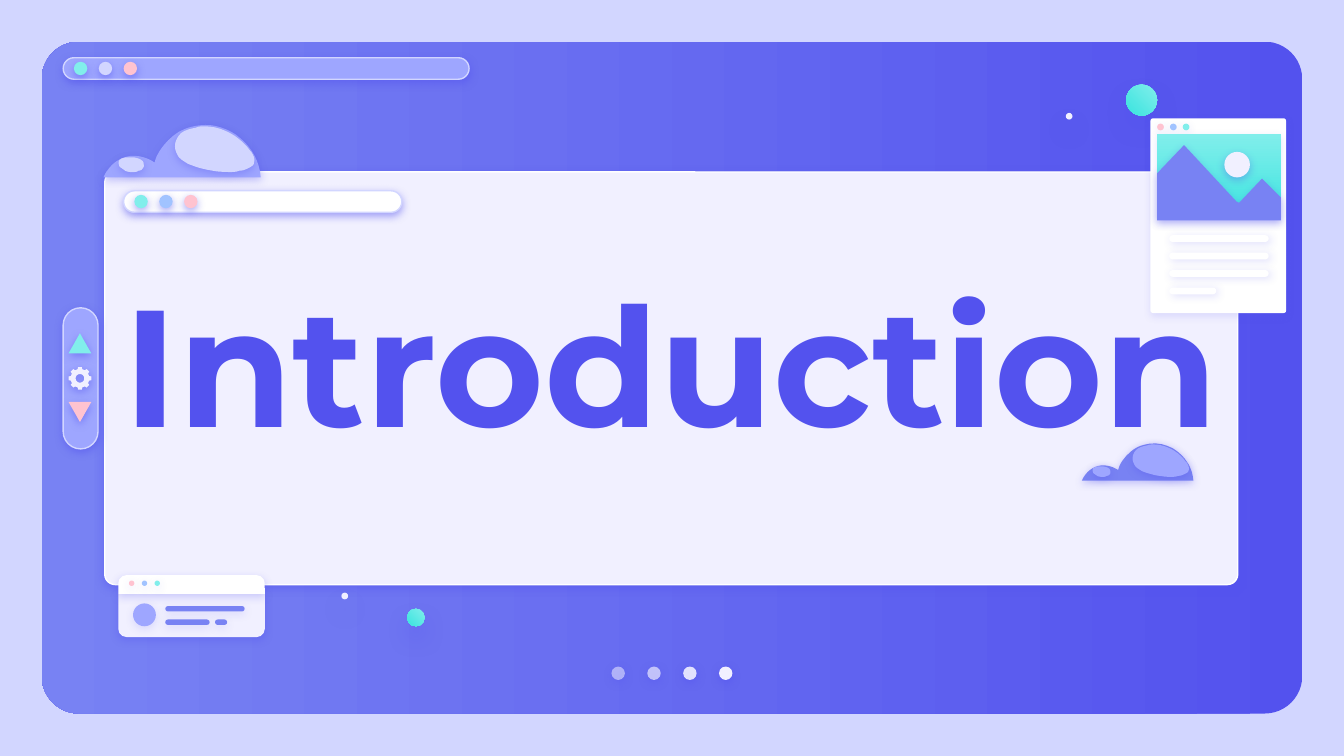
import math
import dataclasses
import pptx
import pptx.util
import pptx.dml.color
import pptx.enum.shapes
import pptx.enum.text
import pptx.oxml
import pptx.oxml.ns

Inches = pptx.util.Inches
Kind = pptx.enum.shapes.MSO_SHAPE


@dataclasses.dataclass(frozen=True)
class Theme:
    """Hold the colours, font and type size."""
    back: str = "D2D6FF"
    deep: str = "5352EE"
    mid: str = "7882F3"
    soft: str = "9EA6FF"
    pale: str = "F1F0FF"
    white: str = "FFFFFF"
    aqua: str = "81EEEB"
    teal: str = "3AE4DF"
    pink: str = "FFC3D0"
    sky: str = "A1C3FF"
    font: str = "Montserrat"
    size: int = 89


T = Theme()
RGB = pptx.dml.color.RGBColor.from_string
GLOW = (50, 4.5, 1.5, 90)
DIM = (14, 4.5, 1.5, 90)
CAST = (34, 4.5, 1.5, 90)
SIDE = (18, 4.5, 1.5, 39)
HAZE = (31, 4.5, 1.5, 90)
FAR = (38, 12.4, 6.8, 90)
GRID = 1000

CLOUD = [(.76, 0), (.67, 0, .58, .03, .52, .08), (.46, .13, .4, .2, .38, .28),
         (.34, .25, .28, .23, .23, .23), (.21, .23, .19, .23, .16, .24),
         (.09, .26, .03, .32, 0, .39), (1.17, .39),
         (1.16, .24, 1.07, .12, .95, .05), (.89, .02, .83, 0, .76, 0)]
SHINE = [(.75, .01), (.73, .01, .71, .01, .69, .02), (.64, .03, .59, .04, .56, .08),
         (.53, .12, .52, .17, .55, .22), (.56, .25, .6, .27, .63, .29),
         (.73, .33, .83, .35, .93, .35), (.96, .35, .99, .35, 1.01, .34),
         (1.04, .34, 1.06, .33, 1.08, .32), (1.1, .31, 1.12, .3, 1.12, .28),
         (1.13, .25, 1.11, .21, 1.09, .19), (1.01, .08, .88, .01, .75, .01)]
GLINT = [(.21, .24), (.18, .24, .14, .24, .12, .26), (.11, .27, .11, .29, .12, .31),
         (.13, .32, .15, .33, .16, .34), (.18, .35, .2, .35, .21, .35),
         (.24, .35, .25, .35, .26, .34), (.28, .34, .29, .33, .3, .31),
         (.3, .29, .3, .27, .28, .26), (.27, .25, .23, .24, .21, .24)]


def paint(shape, fill, glow=None, line=None, alpha=None, angle=0):
    """Set fill, outline and shadow of a shape."""
    shape.shadow.inherit = False
    if isinstance(fill, tuple):
        shape.fill.gradient()
        shape.fill.gradient_angle = angle
        for stop, color in zip(shape.fill.gradient_stops, fill):
            stop.color.rgb = RGB(color)
    else:
        shape.fill.solid()
        shape.fill.fore_color.rgb = RGB(fill)
    if line:
        shape.line.color.rgb = RGB(line)
        shape.line.width = pptx.util.Pt(.75)
    else:
        shape.line.fill.background()
    tag, props = pptx.oxml.ns.qn, shape.element.spPr
    ns = pptx.oxml.ns.nsdecls("a")
    if alpha:
        color = props.find(tag("a:solidFill")).find(tag("a:srgbClr"))
        color.append(pptx.oxml.parse_xml(f'<a:alpha {ns} val="{alpha * 1000}"/>'))
    if glow:
        dark, blur, far, turn = glow
        props.find(tag("a:effectLst")).append(pptx.oxml.parse_xml(
            f'<a:outerShdw {ns} blurRad="{pptx.util.Pt(blur)}" dist="{pptx.util.Pt(far)}" '
            f'dir="{turn * 60000}" algn="bl" rotWithShape="0"><a:srgbClr val="{T.deep}">'
            f'<a:alpha val="{dark * 1000}"/></a:srgbClr></a:outerShdw>'))
    return shape


def block(slide, kind, x, y, w, h, fill, adj=None, turn=0, **style):
    """Add a painted preset shape."""
    shape = slide.shapes.add_shape(kind, Inches(x), Inches(y), Inches(w), Inches(h))
    if adj is not None:
        shape.adjustments[0] = adj
    shape.rotation = turn
    return paint(shape, fill, **style)


def shade(slide, rings, fill, **style):
    """Add a painted outline made of closed rings."""
    build = None
    for ring in rings:
        first, *rest = [(x * GRID, y * GRID) for x, y in ring]
        if build is None:
            build = slide.shapes.build_freeform(*first, scale=Inches(1) / GRID)
        else:
            build.move_to(*first)
        build.add_line_segments(rest, close=True)
    return paint(build.convert_to_shape(), fill, **style)


def trace(x, y, scale, parts, steps=10):
    """Turn line and curve parts into placed points."""
    ring = [parts[0]]
    for part in parts[1:]:
        if len(part) == 2:
            ring.append(part)
            continue
        a, b, c, d = ring[-1], part[:2], part[2:4], part[4:]
        for t in (i / steps for i in range(1, steps + 1)):
            s = 1 - t
            ring.append(tuple(s**3 * a[i] + 3 * s * s * t * b[i] + 3 * s * t * t * c[i]
                              + t**3 * d[i] for i in (0, 1)))
    return [(x + scale * px, y + scale * py) for px, py in ring]


def text(frame, words, font, size, color, bold=False, space=1.0):
    """Write centred text in a frame."""
    frame.word_wrap = True
    frame.auto_size = pptx.enum.text.MSO_AUTO_SIZE.NONE
    frame.vertical_anchor = pptx.enum.text.MSO_ANCHOR.MIDDLE
    frame.margin_left = frame.margin_right = Inches(.1)
    frame.margin_top = frame.margin_bottom = Inches(.1)
    line = frame.paragraphs[0]
    line.alignment = pptx.enum.text.PP_ALIGN.CENTER
    line.line_spacing = space
    run = line.add_run()
    run.text = words
    run.font.name, run.font.size, run.font.bold = font, pptx.util.Pt(size), bold
    run.font.color.rgb = RGB(color)


def dots(slide, x, y, size, span, fills, glow=GLOW):
    """Add dots spread evenly over a span."""
    step = span / (len(fills) - 1)
    for i, fill in enumerate(fills):
        block(slide, Kind.OVAL, x + i * step, y, size, size, fill, glow=glow)


def bar(slide, x, y, w, h, fill, fills):
    """Add a browser bar with three dots."""
    block(slide, Kind.ROUNDED_RECTANGLE, x, y, w, h, fill, adj=.5, line=T.back, glow=GLOW)
    dots(slide, x + .08, y + .03, .1, .37, fills)


def pager(slide, x, y, size, span):
    """Add page dots that grow more solid."""
    for i, alpha in enumerate((54, 67, 90, None)):
        block(slide, Kind.OVAL, x + i * span / 3, y, size, size, T.pale,
              alpha=alpha, glow=GLOW)


def title(slide, x, y, w, h, words):
    """Place and format the title."""
    box = slide.shapes.title
    slide.shapes.element.append(box.element)
    box.left, box.top, box.width, box.height = map(Inches, (x, y, w, h))
    text(box.text_frame, words, font=T.font, size=T.size, color=T.deep, bold=True, space=.8)


def cloud(slide, x, y, w, body, light):
    """Add a cloud with two highlights."""
    for parts, fill in ((CLOUD, body), (SHINE, light), (GLINT, light)):
        shade(slide, [trace(x, y, w / 1.17, parts)], fill, glow=HAZE)


def orbs(slide, x, y, size, dx, dy):
    """Add a teal orb and a small pale one."""
    block(slide, Kind.OVAL, x, y, size, size, (T.aqua, T.teal), angle=225, glow=FAR)
    block(slide, Kind.OVAL, x + dx, y + dy, .05, .05, T.pale, glow=FAR)


def photo(slide, x, y, w, h):
    """Add a page with a mountain view and text lines."""
    block(slide, Kind.ROUNDED_RECTANGLE, x, y, w, h, T.white, adj=.02, glow=DIM)
    for i, wide in enumerate((.74, .74, .74, .35)):
        block(slide, Kind.ROUNDED_RECTANGLE, x + .14, y + .87 + i * .13, wide, .05,
              T.white, adj=.5, glow=SIDE)
    dots(slide, x + .05, y + .04, .05, .19, (T.pink, T.sky, T.aqua), DIM)
    block(slide, Kind.RECTANGLE, x + .05, y + .12, .92, .64, (T.aqua, T.teal),
          angle=270, glow=DIM)
    peaks = [(.25, .2), (.05, .41), (.05, .76), (.97, .76), (.97, .59), (.83, .45),
             (.66, .63), (.64, .62)]
    shade(slide, [trace(x, y, 1, peaks)], T.mid, glow=CAST)
    block(slide, Kind.OVAL, x + .55, y + .25, .19, .19, T.pale, glow=CAST)


def card(slide, x, y, w, h):
    """Add a small profile card."""
    top = .14
    block(slide, Kind.ROUND_2_SAME_RECTANGLE, x, y + top, w, h - top, T.pale,
          adj=.19, turn=180, glow=CAST)
    block(slide, Kind.ROUND_2_SAME_RECTANGLE, x, y, w, top, T.white, adj=.43,
          glow=(24, 4.5, 1.5, 90))
    dots(slide, x + .08, y + .04, .04, .19, (T.pink, T.sky, T.aqua), DIM)
    block(slide, Kind.OVAL, x + .11, y + .21, .17, .17, T.soft, glow=DIM)
    for dx, dy, wide in ((.35, .23, .59), (.35, .33, .33), (.72, .33, .09)):
        block(slide, Kind.ROUNDED_RECTANGLE, x + dx, y + dy, wide, .04, T.mid,
              adj=.5, glow=DIM)


def gear(slide, x, y, size):
    """Add an eight-tooth gear with a round hole."""
    mid, r = (x + size / 2, y + size / 2), size / 2

    def spot(reach, turn):
        """Find a point around the hub."""
        return mid[0] + reach * math.cos(turn), mid[1] + reach * math.sin(turn)

    teeth = [spot(r * reach, i * math.pi / 4 + turn) for i in range(8)
             for reach, turn in ((.82, -.24), (1, -.17), (1, .17), (.82, .24))]
    hole = [spot(r * .38, -i * math.pi / 12) for i in range(24)]
    shade(slide, [teeth, hole], T.pale, glow=(52, 4.5, 1.5, 90))


def rail(slide, x, y, w, h):
    """Add the side rail with arrows and gear."""
    block(slide, Kind.ROUNDED_RECTANGLE, x, y, w, h, T.soft, adj=.5, line=T.back, glow=GLOW)
    for dy, fill, turn in ((.19, T.aqua, 0), (.7, T.pink, 180)):
        block(slide, Kind.ISOSCELES_TRIANGLE, x + .04, y + dy, .17, .15, fill,
              turn=turn, glow=GLOW)
    gear(slide, x + .04, y + .44, .17)


def main():
    """Build and save the slide."""
    deck = pptx.Presentation()
    deck.slide_width, deck.slide_height = Inches(10), Inches(10) * 9 // 16
    slide = deck.slides.add_slide(deck.slide_layouts[5])
    slide.background.fill.solid()
    slide.background.fill.fore_color.rgb = RGB(T.back)
    block(slide, Kind.ROUNDED_RECTANGLE, .31, .31, 9.38, 5, (T.deep, T.mid),
          adj=.056, angle=180)
    bar(slide, .47, .43, 3.02, .16, T.soft, (T.aqua, T.back, T.pink))
    pager(slide, 4.55, 4.96, .1, .8)
    block(slide, Kind.ROUNDED_RECTANGLE, .78, 1.28, 8.43, 3.07, T.pale, adj=.025,
          line=T.white, glow=GLOW)
    title(slide, .68, 1.44, 8.63, 2.77, "Introduction")
    cloud(slide, .77, .93, 1.17, T.soft, T.back)
    cloud(slide, 8.05, 3.3, .83, T.mid, T.soft)
    orbs(slide, 8.38, .63, .23, -.45, .21)
    orbs(slide, 3.03, 4.53, .13, -.49, -.12)
    photo(slide, 8.56, .88, 1.01, 1.45)
    card(slide, .88, 4.28, 1.09, .46)
    bar(slide, .92, 1.42, 2.07, .16, T.white, (T.aqua, T.sky, T.pink))
    rail(slide, .47, 2.29, .26, 1.05)
    deck.save("out.pptx")


if __name__ == "__main__":
    main()
